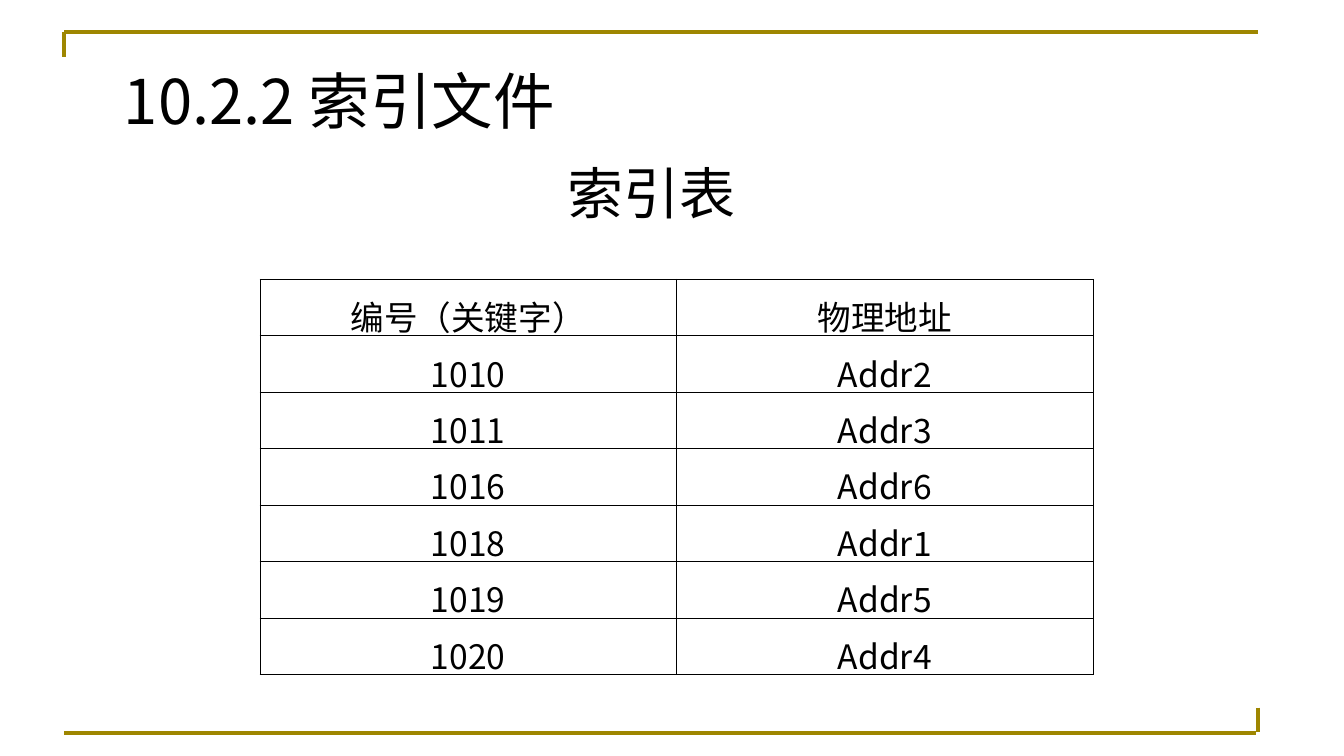
from typing import NamedTuple

from lxml import etree
from pptx import Presentation
from pptx import util as u
from pptx.dml.color import RGBColor
from pptx.enum import shapes, text
from pptx.oxml import ns

COLOURS = {"gold": "9E8600", "black": "000000"}
CJK_FONT = "Noto Sans CJK SC"
INDEX_ROWS = [
    ("编号（关键字）", "物理地址"),
    ("1010", "Addr2"),
    ("1011", "Addr3"),
    ("1016", "Addr6"),
    ("1018", "Addr1"),
    ("1019", "Addr5"),
    ("1020", "Addr4"),
]


class Rule(NamedTuple):
    x1: float
    y1: float
    x2: float
    y2: float


class Style(NamedTuple):
    size: int
    font: str
    align: text.PP_ALIGN
    line_spacing: float
    after: float


FRAME_RULES = [
    Rule(0.64, 0.32, 12.49, 0.32),
    Rule(0.64, 0.32, 0.64, 0.57),
    Rule(0.64, 7.27, 12.47, 7.27),
    Rule(12.49, 7.02, 12.49, 7.26),
]
TITLE = Style(44, CJK_FONT, text.PP_ALIGN.LEFT, 0.93, 1.1)
CAPTION = Style(40, "Arial", text.PP_ALIGN.CENTER, 0.93, 1.1)
CELL = Style(24, CJK_FONT, text.PP_ALIGN.CENTER, 1.15, 12)


def colour(name: str) -> RGBColor:
    return RGBColor.from_string(COLOURS[name])


def write(frame, words: str, style: Style) -> None:
    frame.word_wrap = True
    para = frame.paragraphs[0]
    para.text = words
    para.alignment = style.align
    para.line_spacing = style.line_spacing
    para.space_before = u.Pt(0)
    para.space_after = u.Pt(style.after)
    para.font.size = u.Pt(style.size)
    para.font.name = style.font
    para.font.color.rgb = colour("black")


def draw_rule(page, rule: Rule) -> None:
    line = page.shapes.add_connector(
        shapes.MSO_CONNECTOR.STRAIGHT, *(u.Inches(value) for value in rule)
    )
    line.line.color.rgb = colour("gold")
    line.line.width = u.Pt(2.83)
    etree.SubElement(line._element.spPr, ns.qn("a:effectLst"))


def border_cell(cell) -> None:
    props = cell._tc.get_or_add_tcPr()
    for position, side in enumerate(("a:lnL", "a:lnR", "a:lnT", "a:lnB")):
        edge = etree.Element(ns.qn(side), w=str(u.Pt(0.45)))
        fill = etree.SubElement(edge, ns.qn("a:solidFill"))
        etree.SubElement(fill, ns.qn("a:srgbClr"), val=COLOURS["black"])
        props.insert(position, edge)


def draw_index_table(page) -> None:
    table = page.shapes.add_table(
        len(INDEX_ROWS), len(INDEX_ROWS[0]),
        u.Inches(2.58), u.Inches(2.77), u.Inches(8.27), u.Inches(3.92),
    ).table
    table.first_row = table.horz_banding = False
    for row, words in enumerate(INDEX_ROWS):
        for column, word in enumerate(words):
            cell = table.cell(row, column)
            cell.fill.background()
            border_cell(cell)
            write(cell.text_frame, word, CELL)


def main() -> None:
    deck = Presentation()
    deck.slide_width, deck.slide_height = u.Inches(13.34), u.Inches(7.5)
    page = deck.slides.add_slide(deck.slide_layouts[5])
    for rule in FRAME_RULES:
        draw_rule(page, rule)

    title = page.shapes.title
    title.left, title.top = u.Inches(1.13), u.Inches(0.64)
    title.width, title.height = u.Inches(10.64), u.Inches(0.78)
    title.text_frame.vertical_anchor = text.MSO_ANCHOR.TOP
    write(title.text_frame, "10.2.2 索引文件", TITLE)

    caption = page.shapes.add_textbox(
        u.Inches(0.64), u.Inches(1.58), u.Inches(11.65), u.Inches(0.72)
    )
    write(caption.text_frame, "索引表", CAPTION)
    draw_index_table(page)
    deck.save("out.pptx")


if __name__ == "__main__":
    main()
